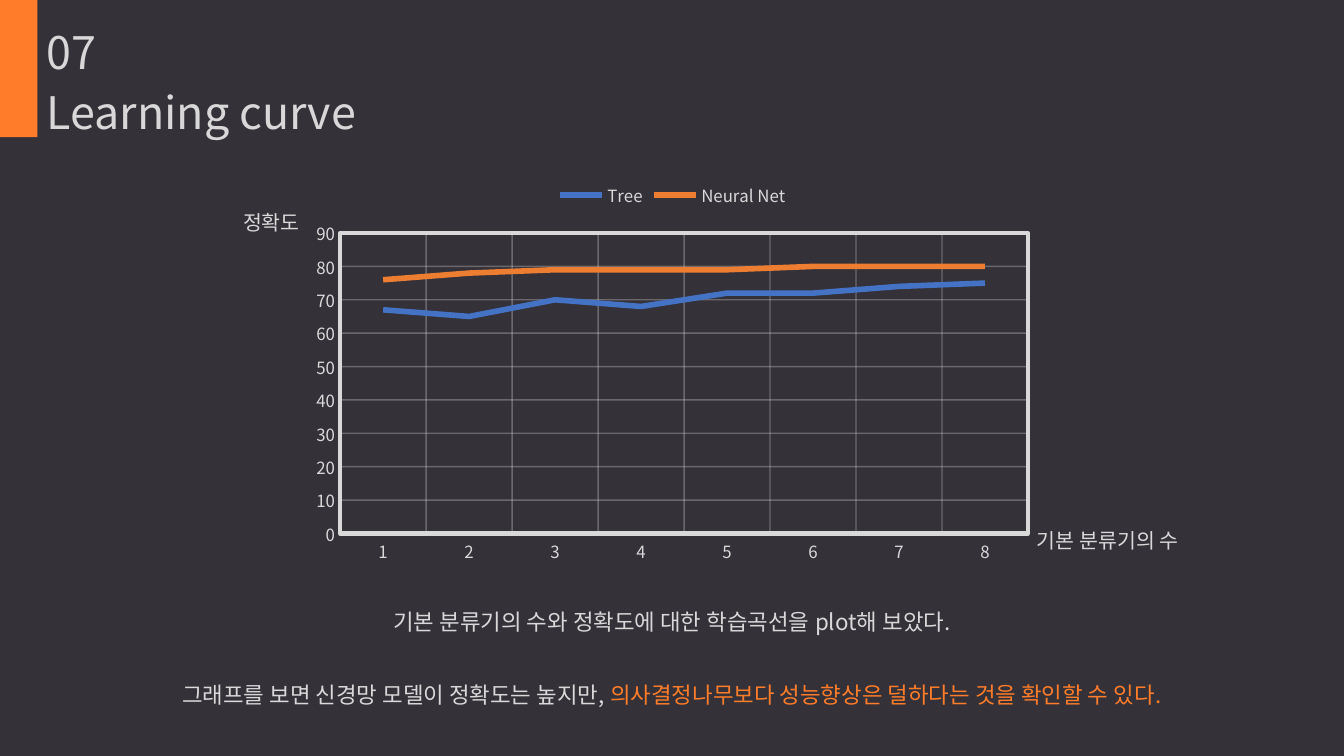
from lxml import etree
from pptx import Presentation
from pptx.chart.data import CategoryChartData
from pptx.dml.color import RGBColor
from pptx.enum import chart as ch, shapes, text
from pptx.oxml import ns, parse_xml
from pptx.util import Pt

THEME = {
    "font": "Noto Sans CJK KR",
    "background": "343138", "accent": "FF7D2A", "heading": "D8D8D8", "axis": "D9D9D9",
    "heading_size": 24, "body_size": 12, "label_size": 11, "tick_size": 9,
}
SLIDE = (720, 405)
ACCENT_BAR = (0, 0, 20, 73.5)
TIGHT, NORMAL = (5, 3), (7.2, 3.6)
LEFT, CENTER = text.PP_ALIGN.LEFT, text.PP_ALIGN.CENTER

TEXTS = [
    {"at": (20, 42.5, 597.6, 57.6), "inset": TIGHT, "size": "heading_size", "align": LEFT,
     "lines": [[("Learning curve", "heading")]]},
    {"at": (20, 10, 98, 34.6), "inset": TIGHT, "size": "heading_size", "align": LEFT,
     "lines": [[("07", "heading")]]},
    {"at": (53.3, 315.4, 613.4, 51), "inset": TIGHT, "size": "body_size", "align": CENTER,
     "spacing": 1.5, "gap": 17.5,
     "lines": [[("기본 분류기의 수와 정확도에 대한 학습곡선을 plot해 보았다.", "heading")],
               [("그래프를 보면 신경망 모델이 정확도는 높지만, ", "heading"),
                ("의사결정나무보다 성능향상은 덜하다는 것을 확인할 수 있다.", "accent")]]},
    {"at": (548.4, 279.4, 171.6, 20.9), "inset": NORMAL, "size": "label_size", "align": LEFT,
     "lines": [[("기본 분류기의 수", "axis")]]},
    {"at": (13.7, 108.7, 263.5, 20.9), "inset": NORMAL, "size": "label_size", "align": CENTER,
     "lines": [[("정확도", "axis")]]},
]

CHART_AT = (162, 90, 396.7, 215.3)
PLOT_AT = (182.3, 124.8, 368.4, 161)
CLASSIFIERS = [str(n) for n in range(1, 9)]
ACCURACY = [
    ("Tree", "4472C4", (67, 65, 70, 68, 72, 72, 74, 75)),
    ("Neural Net", "ED7D31", (76, 78, 79, 79, 79, 80, 80, 80)),
]


def rgb(name):
    return RGBColor.from_string(THEME.get(name, name))


def points(lengths):
    return [Pt(length) for length in lengths]


def assign(target, values):
    for key, value in values.items():
        setattr(target, key, value)


def style_font(font, size, color):
    assign(font, {"name": THEME["font"], "size": Pt(THEME[size])})
    font.color.rgb = rgb(color)


def style_line(line, color, width):
    line.color.rgb = rgb(color)
    line.width = Pt(width)


def add_text(slide, item):
    frame = slide.shapes.add_textbox(*points(item["at"])).text_frame
    across, down = points(item["inset"])
    assign(frame, {"word_wrap": True, "margin_left": across, "margin_right": across,
                   "margin_top": down, "margin_bottom": down})
    for index, line in enumerate(item["lines"]):
        paragraph = frame.add_paragraph() if index else frame.paragraphs[0]
        assign(paragraph, {"alignment": item["align"], "line_spacing": item.get("spacing", 1.0)})
        if index:
            paragraph.space_before = Pt(item["gap"])
        for words, color in line:
            run = paragraph.add_run()
            run.text = words
            style_font(run.font, item["size"], color)
            east_asian = etree.SubElement(run.font._element, ns.qn("a:ea"))
            east_asian.set("typeface", THEME["font"])


def style_axis(axis):
    assign(axis, {"has_major_gridlines": True,
                  "major_tick_mark": ch.XL_TICK_MARK.NONE,
                  "minor_tick_mark": ch.XL_TICK_MARK.NONE})
    style_font(axis.tick_labels.font, "tick_size", "axis")
    style_line(axis.format.line, "axis", 0.25)
    grid = axis.major_gridlines
    style_line(grid.format.line, "axis", 0.75)
    for color in grid._xAx.iterfind(".//" + ns.qn("c:majorGridlines") + "//" + ns.qn("a:srgbClr")):
        etree.SubElement(color, ns.qn("a:alpha")).set("val", "32000")


def frame_plot(chart):
    plot_area = chart._chartSpace.chart.plotArea
    for layout in plot_area.findall(ns.qn("c:layout")):
        plot_area.remove(layout)
    left, top, width, height = CHART_AT
    x, y, w, h = PLOT_AT
    shares = {"x": (x - left) / width, "y": (y - top) / height, "w": w / width, "h": h / height}
    sizes = "".join(f'<c:{key} val="{share:.3f}"/>' for key, share in shares.items())
    plot_area.insert(0, parse_xml(
        f'<c:layout {ns.nsdecls("c")}><c:manualLayout><c:layoutTarget val="inner"/>'
        f'<c:xMode val="edge"/><c:yMode val="edge"/>{sizes}</c:manualLayout></c:layout>'))
    plot_area.append(parse_xml(
        f'<c:spPr {ns.nsdecls("c", "a")}><a:noFill/><a:ln w="{Pt(2.25)}"><a:solidFill>'
        f'<a:srgbClr val="{THEME["axis"]}"/></a:solidFill></a:ln></c:spPr>'))


def add_accuracy_chart(slide):
    data = CategoryChartData()
    data.categories = CLASSIFIERS
    for name, _, values in ACCURACY:
        data.add_series(name, values)
    chart = slide.shapes.add_chart(ch.XL_CHART_TYPE.LINE, *points(CHART_AT), data).chart
    assign(chart, {"has_title": False, "has_legend": True})
    style_font(chart.font, "tick_size", "axis")
    assign(chart.legend, {"position": ch.XL_LEGEND_POSITION.TOP, "include_in_layout": False})
    style_font(chart.legend.font, "tick_size", "axis")
    chart.plots[0].vary_by_categories = False
    for series, (_, color, _) in zip(chart.plots[0].series, ACCURACY):
        series.smooth = False
        series.marker.style = ch.XL_MARKER_STYLE.NONE
        style_line(series.format.line, color, 3)
    for axis in (chart.category_axis, chart.value_axis):
        style_axis(axis)
    assign(chart.value_axis, {"minimum_scale": 0, "maximum_scale": 90, "major_unit": 10})
    frame_plot(chart)


def main():
    deck = Presentation()
    deck.slide_width, deck.slide_height = points(SLIDE)
    slide = deck.slides.add_slide(deck.slide_layouts[6])
    slide.background.fill.solid()
    slide.background.fill.fore_color.rgb = rgb("background")
    bar = slide.shapes.add_shape(shapes.MSO_SHAPE.RECTANGLE, *points(ACCENT_BAR))
    bar.shadow.inherit = False
    bar.fill.solid()
    bar.fill.fore_color.rgb = rgb("accent")
    bar.line.fill.background()
    add_accuracy_chart(slide)
    for item in TEXTS:
        add_text(slide, item)
    deck.save("out.pptx")


if __name__ == "__main__":
    main()
